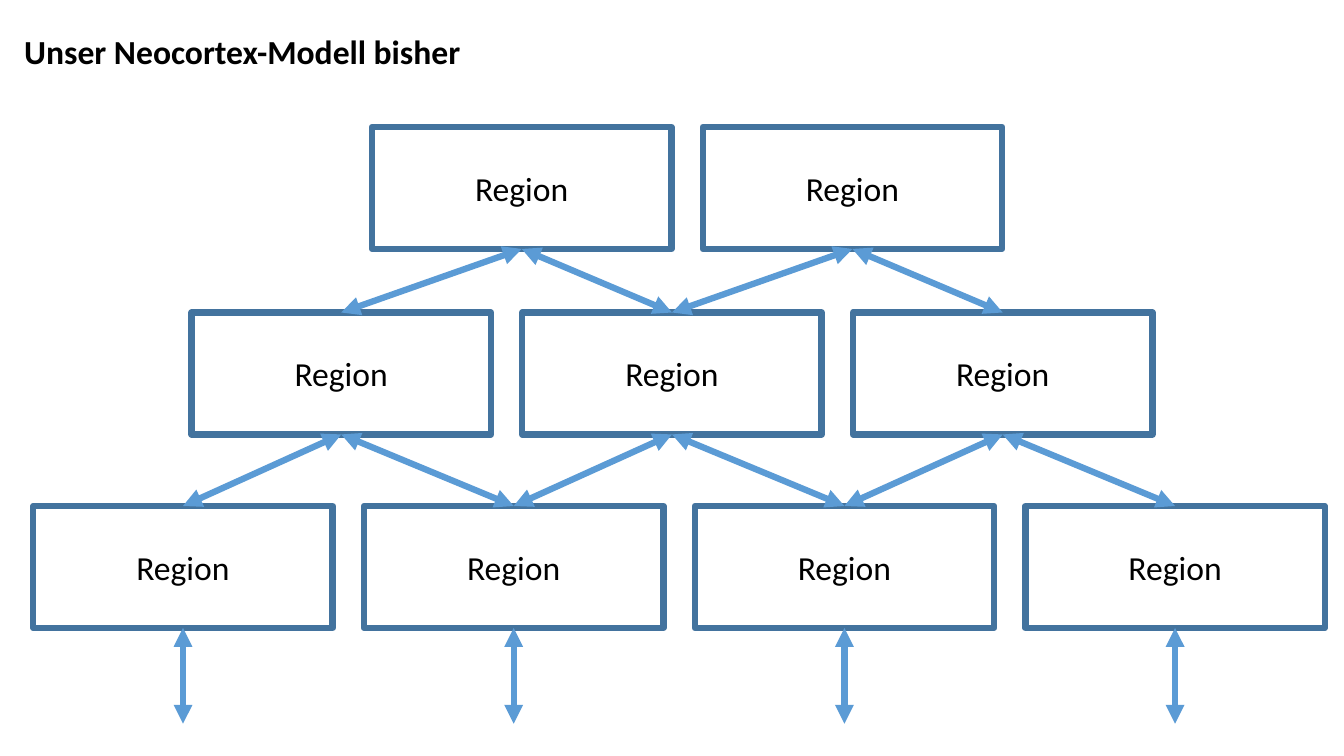
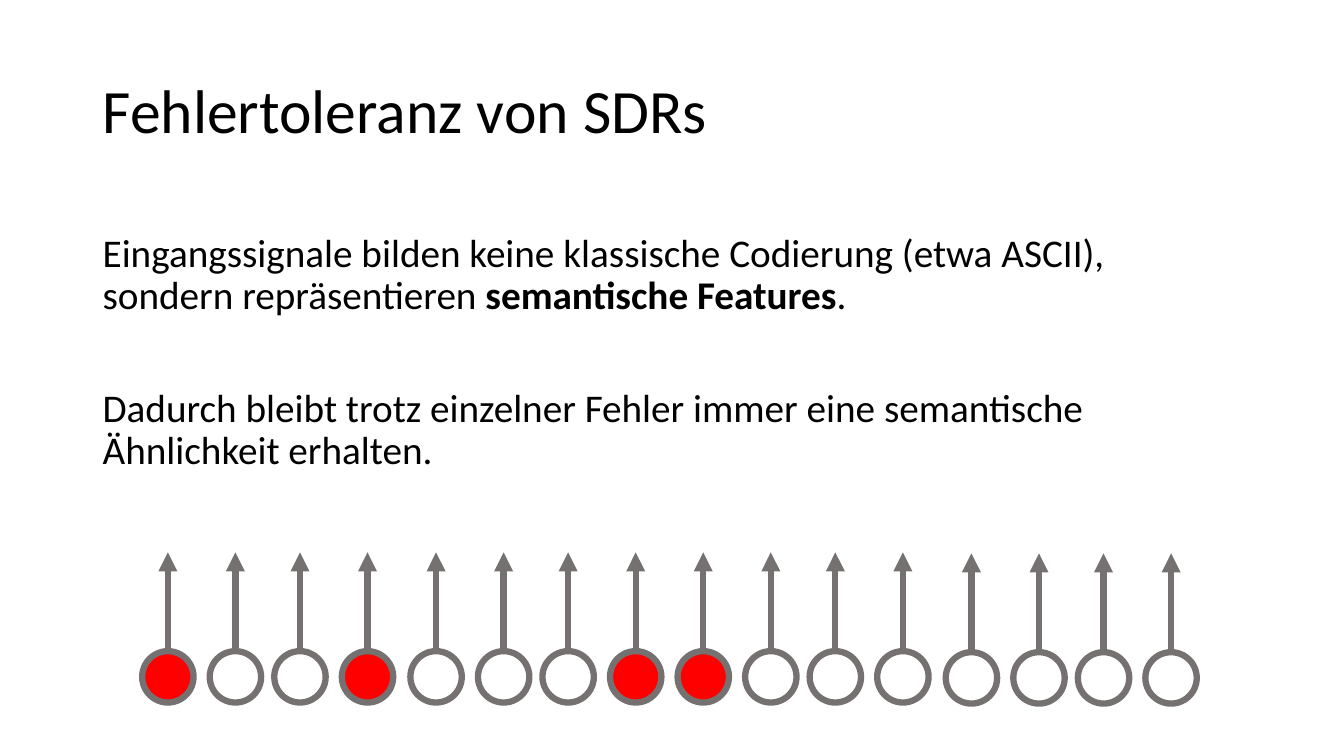
from lxml.etree import SubElement
from pptx import Presentation
from pptx.dml.color import RGBColor
from pptx.enum.shapes import MSO_CONNECTOR as Connector, MSO_SHAPE as Shape
from pptx.enum.text import MSO_ANCHOR as Anchor, MSO_AUTO_SIZE as AutoSize, PP_ALIGN as Align
from pptx.oxml.ns import qn
from pptx.util import Emu, Pt

PX = 9144
FONT = "Calibri"
BLACK = RGBColor(0x00, 0x00, 0x00)
RED = RGBColor(0xFF, 0x00, 0x00)
GREY = RGBColor(0x76, 0x71, 0x71)
BLUE = RGBColor(0x5B, 0x9B, 0xD5)
DARK_BLUE = RGBColor(0x43, 0x73, 0x9E)
LINE_WIDTH = Pt(4.5)
TOP, BOTTOM = 0, 2

MODEL_TITLE = "Unser Neocortex-Modell bisher"
REGION_LABEL = "Region"
REGION_ROWS = [(369, 126, 2), (190, 310, 3), (33, 502, 4)]
REGION_WIDTH, REGION_HEIGHT, REGION_PITCH = 297, 121, 328
INPUT_END = 718

SDR_TITLE = "Fehlertoleranz von SDRs"
SDR_PARAGRAPHS = [
    [
        ("Eingangssignale bilden keine klassische Codierung (etwa ASCII), sondern repräsentieren ", False),
        ("semantische Features", True),
        (".", False),
    ],
    [("Dadurch bleibt trotz einzelner Fehler immer eine semantische Ähnlichkeit erhalten.", False)],
]
CELL_GROUPS = [(141, 646), (407, 646), (672, 646), (938, 647)]
CELL_OFFSETS = [0, 67, 131, 198]
ACTIVE_CELLS = {0, 3, 7, 8}
CELL_SIZE, SIGNAL_LENGTH = 51, 98


def px(*lengths):
    return [Emu(length * PX) for length in lengths]


def add_span(para, text, size, bold=False):
    span = para.add_run()
    span.text = text
    span.font.name = FONT
    span.font.size = Pt(size)
    span.font.bold = bold
    span.font.color.rgb = BLACK


def add_page(deck, title, area, size, bold=False, spacing=1.0):
    page = deck.slides.add_slide(deck.slide_layouts[5])
    box = page.shapes.title
    box.left, box.top, box.width, box.height = px(*area)
    frame = box.text_frame
    frame.word_wrap = True
    frame.auto_size = AutoSize.NONE
    frame.vertical_anchor = Anchor.MIDDLE
    para = frame.paragraphs[0]
    para.alignment = Align.LEFT
    para.line_spacing = spacing
    add_span(para, title, size, bold)
    return page


def add_outline(page, kind, area, color, fill=None):
    shape = page.shapes.add_shape(kind, *px(*area))
    shape.shadow.inherit = False
    if fill is None:
        shape.fill.background()
    else:
        shape.fill.solid()
        shape.fill.fore_color.rgb = fill
    shape.line.color.rgb = color
    shape.line.width = LINE_WIDTH
    return shape


def add_arrow(page, start, end, color, ends):
    arrow = page.shapes.add_connector(Connector.STRAIGHT, *px(*start, *end))
    arrow.line.color.rgb = color
    arrow.line.width = LINE_WIDTH
    outline = arrow.line._get_or_add_ln()
    for name in ends:
        SubElement(outline, qn(f"a:{name}"), type="triangle")
    SubElement(arrow._element.spPr, qn("a:effectLst"))
    return arrow


def add_region(page, left, top):
    region = add_outline(page, Shape.RECTANGLE, (left, top, REGION_WIDTH, REGION_HEIGHT), DARK_BLUE)
    region.text_frame.vertical_anchor = Anchor.MIDDLE
    para = region.text_frame.paragraphs[0]
    para.alignment = Align.CENTER
    add_span(para, REGION_LABEL, 24)
    return region


def add_model_page(deck):
    page = add_page(deck, MODEL_TITLE, (14, 26, 480, 50), 24, bold=True)
    rows = [
        [add_region(page, left + i * REGION_PITCH, top) for i in range(count)]
        for left, top, count in REGION_ROWS
    ]
    both_ends = ("headEnd", "tailEnd")
    for upper_row, lower_row in zip(rows, rows[1:]):
        for i, upper in enumerate(upper_row):
            for lower in lower_row[i:i + 2]:
                arrow = add_arrow(page, (0, 0), (0, 0), BLUE, both_ends)
                arrow.begin_connect(upper, BOTTOM)
                arrow.end_connect(lower, TOP)
    left, top, _ = REGION_ROWS[-1]
    for i, region in enumerate(rows[-1]):
        center = left + i * REGION_PITCH + REGION_WIDTH // 2
        arrow = add_arrow(page, (center, top + REGION_HEIGHT), (center, INPUT_END), BLUE, both_ends)
        arrow.begin_connect(region, BOTTOM)
        arrow.end_x = arrow.begin_x


def add_sdr_page(deck):
    page = add_page(deck, SDR_TITLE, (92, 40, 1150, 145), 44, spacing=0.9)
    frame = page.shapes.add_textbox(*px(92, 227, 1150, 260)).text_frame
    frame.word_wrap = True
    for i, spans in enumerate(SDR_PARAGRAPHS):
        para = frame.add_paragraph() if i else frame.paragraphs[0]
        para.line_spacing = 0.9
        para.space_before = Pt(50 if i else 0)
        for text, bold in spans:
            add_span(para, text, 28, bold)
    cells = [(left + offset, top) for left, top in CELL_GROUPS for offset in CELL_OFFSETS]
    for i, (left, top) in enumerate(cells):
        fill = RED if i in ACTIVE_CELLS else None
        cell = add_outline(page, Shape.OVAL, (left, top, CELL_SIZE, CELL_SIZE), GREY, fill)
        center = left + CELL_SIZE // 2
        signal = add_arrow(page, (center, top), (center, top - SIGNAL_LENGTH), GREY, ("tailEnd",))
        signal.begin_connect(cell, TOP)
        signal.end_x = signal.begin_x


def main():
    deck = Presentation()
    deck.slide_width, deck.slide_height = px(1333, 750)
    add_model_page(deck)
    add_sdr_page(deck)
    deck.save("out.pptx")


if __name__ == "__main__":
    main()
